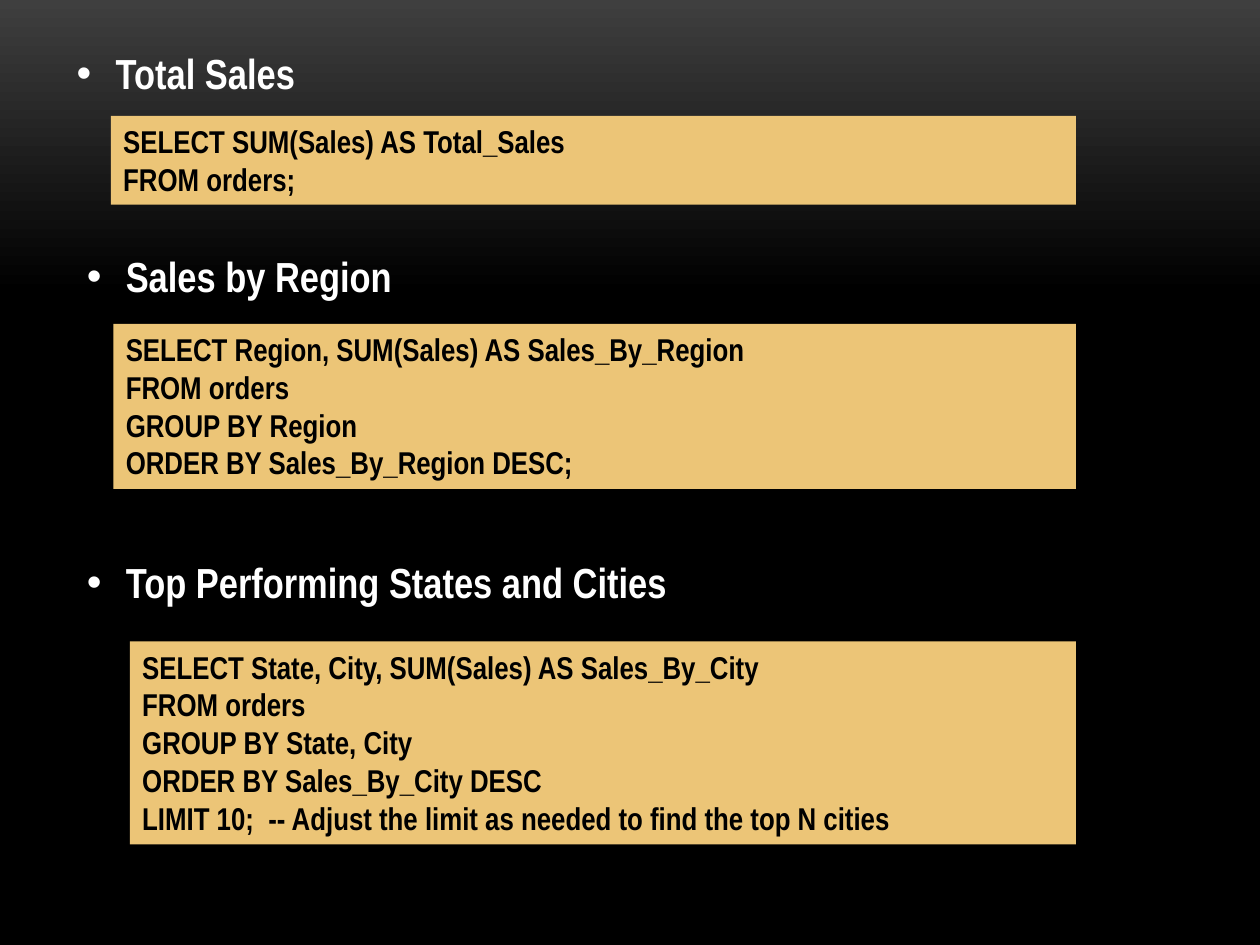
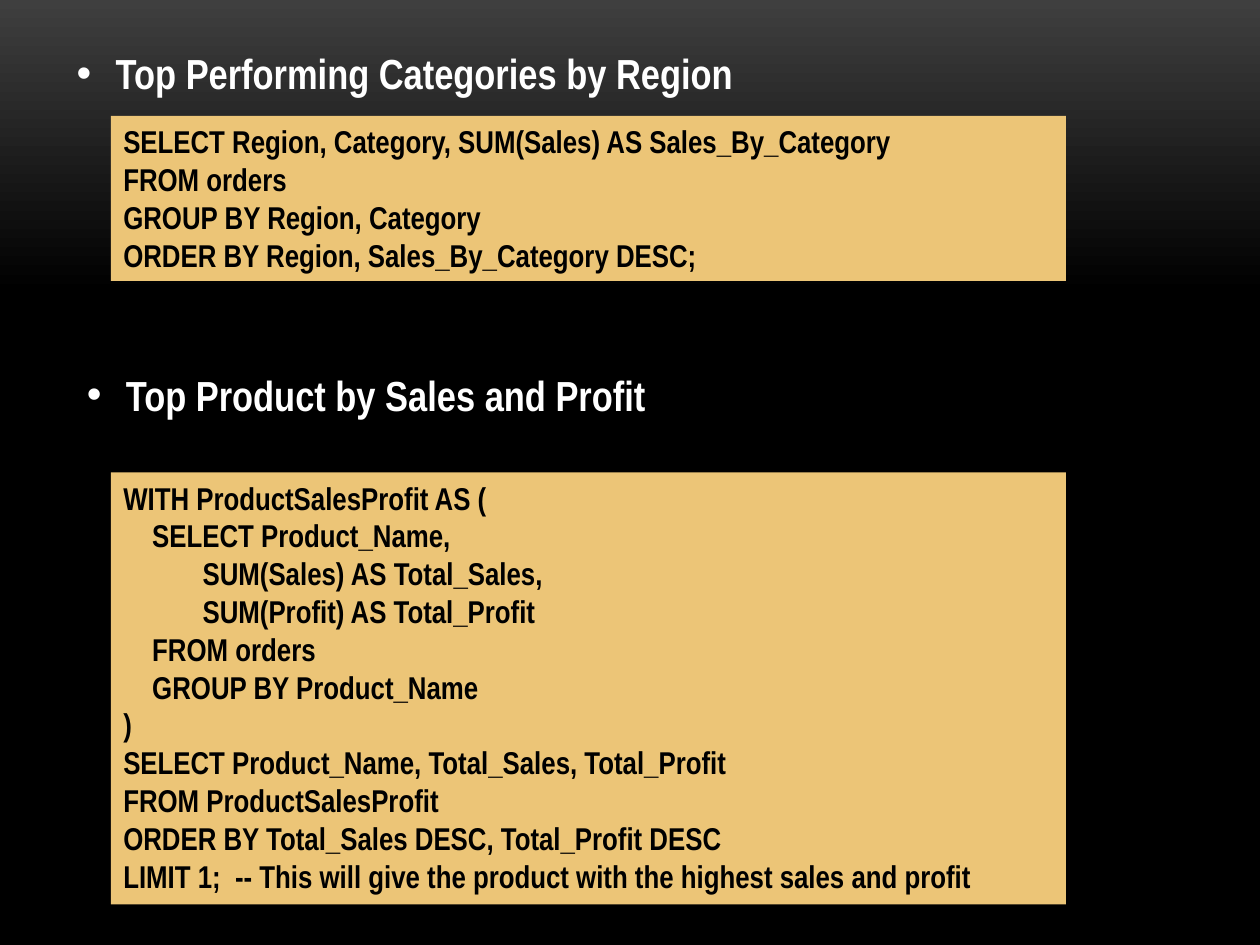
from lxml import etree
from pptx import Presentation
from pptx.dml.color import RGBColor
from pptx.enum.shapes import MSO_SHAPE
from pptx.enum.text import MSO_ANCHOR, MSO_AUTO_SIZE, PP_ALIGN
from pptx.oxml.ns import qn
from pptx.util import Inches, Pt

GRAY = RGBColor(0x3F, 0x3F, 0x3F)
BLACK = RGBColor(0x00, 0x00, 0x00)
WHITE = RGBColor(0xFF, 0xFF, 0xFF)
GOLD = RGBColor(0xEC, 0xC5, 0x77)
FONT = "Arial Narrow"
HEADING_HEIGHT = 0.5
BULLET_INDENT = 0.31
LINE_HEIGHT = 0.3025
CODE_PADDING = 0.1
INDENTS = (0, 0.23, 0.63)

SLIDES = [
    [
        ("Total Sales", (0.51, 0.33, 1.96), (0.88, 0.92, 7.66), [
            "SELECT SUM(Sales) AS Total_Sales",
            "FROM orders;",
        ]),
        ("Sales by Region", (0.59, 1.94, 2.65), (0.9, 2.57, 7.64), [
            "SELECT Region, SUM(Sales) AS Sales_By_Region",
            "FROM orders",
            "GROUP BY Region",
            "ORDER BY Sales_By_Region DESC;",
        ]),
        ("Top Performing States and Cities", (0.59, 4.37, 5.35), (1.03, 5.09, 7.51), [
            "SELECT State, City, SUM(Sales) AS Sales_By_City",
            "FROM orders",
            "GROUP BY State, City",
            "ORDER BY Sales_By_City DESC",
            "LIMIT 10;  -- Adjust the limit as needed to find the top N cities",
        ]),
    ],
    [
        ("Top Performing Categories by Region", (0.51, 0.33, 5.47), (0.88, 0.92, 7.58), [
            "SELECT Region, Category, SUM(Sales) AS Sales_By_Category",
            "FROM orders",
            "GROUP BY Region, Category",
            "ORDER BY Region, Sales_By_Category DESC;",
        ]),
        ("Top Product by Sales and Profit", (0.59, 2.88, 5.35), (0.88, 3.75, 7.58), [
            "WITH ProductSalesProfit AS (",
            (1, "SELECT Product_Name,"),
            (2, "SUM(Sales) AS Total_Sales,"),
            (2, "SUM(Profit) AS Total_Profit"),
            (1, "FROM orders"),
            (1, "GROUP BY Product_Name"),
            ")",
            "SELECT Product_Name, Total_Sales, Total_Profit",
            "FROM ProductSalesProfit",
            "ORDER BY Total_Sales DESC, Total_Profit DESC",
            "LIMIT 1;  -- This will give the product with the highest sales and profit",
        ]),
    ],
]


def set_background(master):
    """Give every slide the gray to black fade."""
    fill = master.background.fill
    fill.gradient()
    fill.gradient_angle = 270
    for stop, color, position in zip(fill.gradient_stops, (GRAY, BLACK), (0, 0.31)):
        stop.color.rgb = color
        stop.position = position


def setup_frame(sp, anchor):
    """Return the wrapping, self-sizing text frame of a shape."""
    tf = sp.text_frame
    tf.word_wrap = True
    tf.auto_size = MSO_AUTO_SIZE.SHAPE_TO_FIT_TEXT
    tf.vertical_anchor = anchor
    return tf


def add_run(p, text, size, color):
    """Add a bold run to a left-aligned paragraph."""
    p.alignment = PP_ALIGN.LEFT
    r = p.add_run()
    r.text = text
    r.font.name = FONT
    r.font.size = Pt(size)
    r.font.bold = True
    r.font.color.rgb = color


def add_heading(slide, box, text):
    """Add a bulleted heading in the given left, top, width."""
    left, top, width = map(Inches, box)
    sp = slide.shapes.add_textbox(left, top, width, Inches(HEADING_HEIGHT))
    p = setup_frame(sp, MSO_ANCHOR.MIDDLE).paragraphs[0]
    add_run(p, text, 24, WHITE)
    pPr = p._p.get_or_add_pPr()
    pPr.set("marL", str(Inches(BULLET_INDENT)))
    pPr.set("indent", str(-Inches(BULLET_INDENT)))
    etree.SubElement(pPr, qn("a:buFont")).set("typeface", "Arial")
    etree.SubElement(pPr, qn("a:buChar")).set("char", "•")


def add_code(slide, box, lines):
    """Add a gold query panel as tall as its lines."""
    left, top, width = map(Inches, box)
    height = Inches(CODE_PADDING + LINE_HEIGHT * len(lines))
    sp = slide.shapes.add_shape(MSO_SHAPE.RECTANGLE, left, top, width, height)
    sp.shadow.inherit = False
    sp.fill.solid()
    sp.fill.fore_color.rgb = GOLD
    sp.line.fill.background()
    tf = setup_frame(sp, MSO_ANCHOR.TOP)
    for i, line in enumerate(lines):
        level, text = (0, line) if isinstance(line, str) else line
        p = tf.add_paragraph() if i else tf.paragraphs[0]
        add_run(p, text, 18, BLACK)
        if level:
            p._p.get_or_add_pPr().set("marL", str(Inches(INDENTS[level])))


def add_query_slide(prs, queries):
    """Add a slide of headings, each with its query panel."""
    slide = prs.slides.add_slide(prs.slide_layouts[6])
    for heading, heading_box, code_box, lines in queries:
        add_heading(slide, heading_box, heading)
        add_code(slide, code_box, lines)


def main():
    """Build and save the deck."""
    prs = Presentation()
    prs.slide_width, prs.slide_height = Inches(10), Inches(7.5)
    set_background(prs.slide_master)
    for queries in SLIDES:
        add_query_slide(prs, queries)
    prs.save("out.pptx")


if __name__ == "__main__":
    main()
